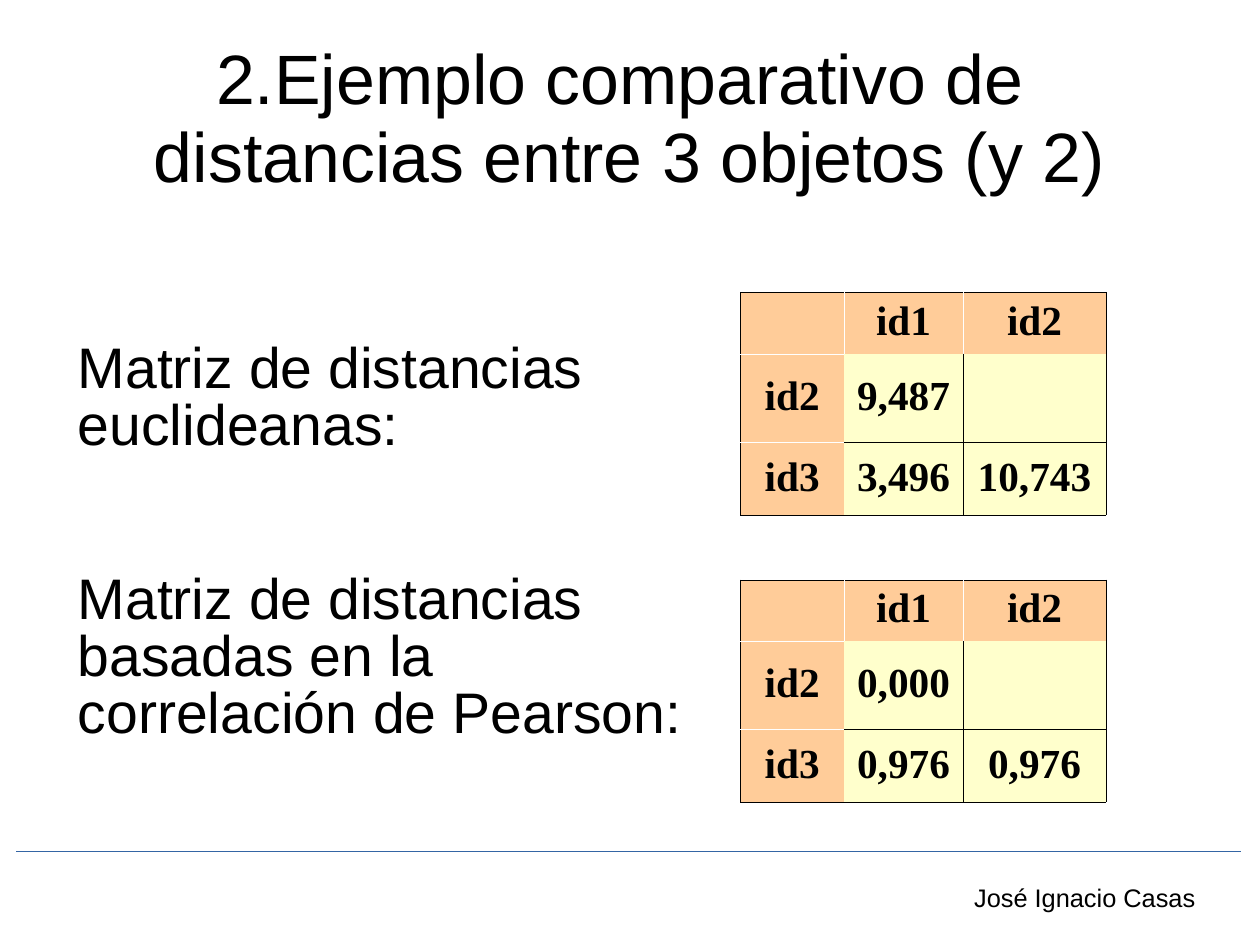
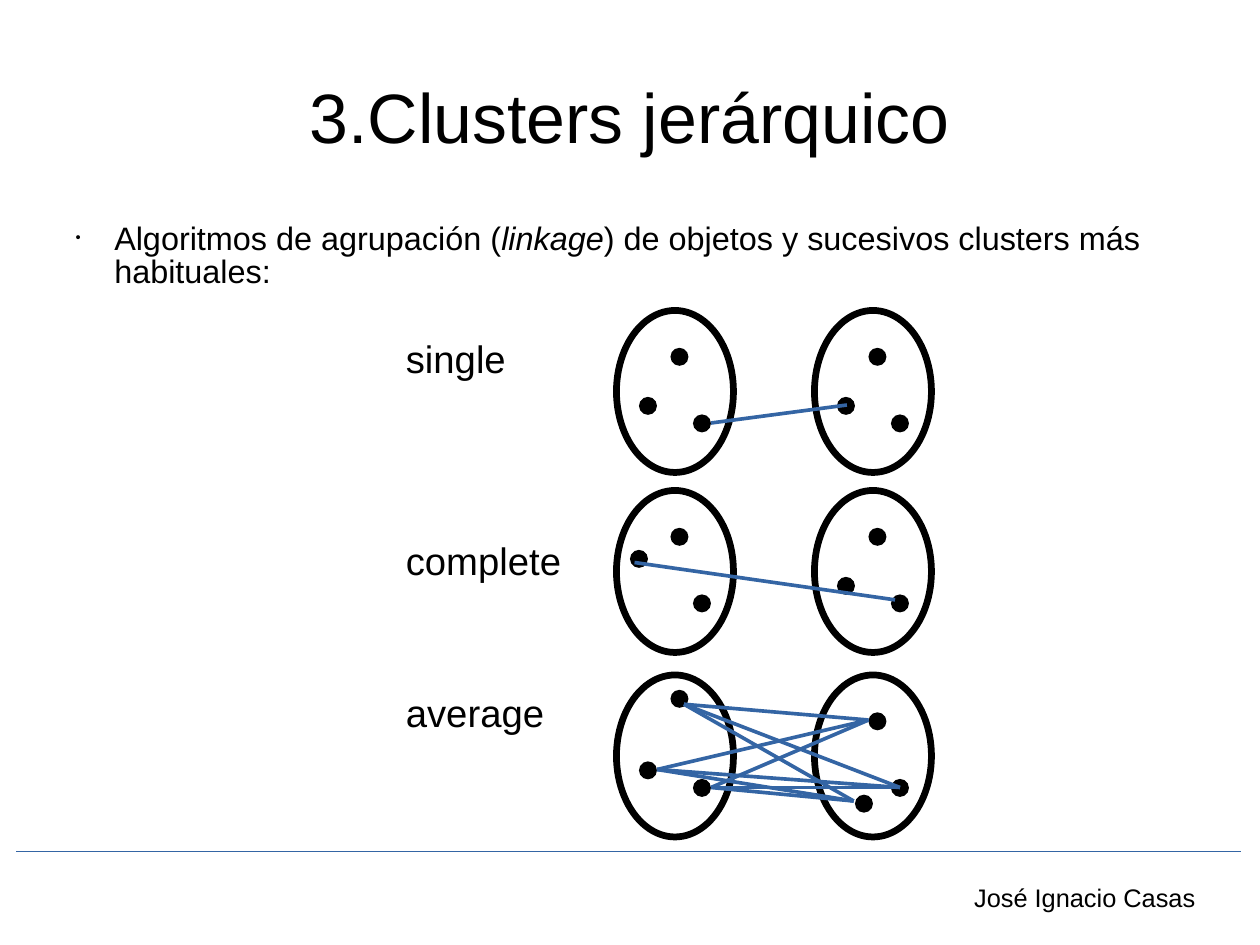
from itertools import product

from lxml.etree import SubElement
from pptx import Presentation
from pptx.dml.color import RGBColor
from pptx.enum.shapes import MSO_CONNECTOR, MSO_SHAPE
from pptx.enum.text import MSO_ANCHOR, MSO_AUTO_SIZE, PP_ALIGN
from pptx.oxml import parse_xml
from pptx.oxml.ns import nsdecls, qn
from pptx.util import Cm, Pt

COLORS = {
    "ink": "000000",
    "link": "3465A4",
    "header": "FFCC99",
    "body": "FFFFCC",
    "gap": "FFFFFF",
}
SANS, SERIF = "Arial", "Times New Roman"
AUTHOR = "José Ignacio Casas"

# Slide 1
DISTANCES_TITLE = ["2.Ejemplo comparativo de ", "distancias entre 3 objetos (y 2)"]
MATRIX_CAPTIONS = [
    "Matriz de distancias euclideanas:",
    "Matriz de distancias basadas en la correlación de Pearson:",
]
EUCLIDEAN = [("", "id1", "id2"), ("id2", "9,487", ""), ("id3", "3,496", "10,743")]
PEARSON = [("", "id1", "id2"), ("id2", "0,000", ""), ("id3", "0,976", "0,976")]
MATRIX_TOPS = [(EUCLIDEAN, 6.5), (PEARSON, 12.88)]
MATRIX_LEFT = 16.45
COLUMN_WIDTHS = [2.31, 2.64, 3.18]
ROW_HEIGHTS = [1.36, 1.96, 1.62]
SIDES = {"lnL": (0, -1), "lnR": (0, 1), "lnT": (-1, 0), "lnB": (1, 0)}

# Slide 2: dots are offsets inside a cluster, links join every start to every end
CLUSTERS_TITLE = ["3.Clusters jerárquico"]
INTRO = [
    ("Algoritmos de agrupación (", False),
    ("linkage", True),
    (") de objetos y sucesivos clusters más habituales:", False),
]
CLUSTER_LEFTS = [13.7, 18.1]
CLUSTER_SIZE = (2.6, 3.6)
DOT = 0.4
USUAL_DOTS = [(1.2, 0.83), (1.7, 2.31), (0.5, 1.92)]
LINKAGES = [
    {
        "name": "single", "label_top": 7.46, "top": 6.9,
        "dots": [USUAL_DOTS, USUAL_DOTS],
        "starts": [(15.8, 9.4)], "ends": [(18.82, 9)],
    },
    {
        "name": "complete", "label_top": 11.95, "top": 10.9,
        "dots": [[(1.2, 0.83), (1.7, 2.31), (0.3, 1.32)], USUAL_DOTS],
        "starts": [(14.1, 12.5)], "ends": [(19.89, 13.33)],
    },
    {
        "name": "average", "label_top": 15.32, "top": 15,
        "dots": [
            [(1.2, 0.33), (1.7, 2.31), (0.5, 1.92)],
            [(1.2, 0.83), (1.7, 2.31), (0.9, 2.66)],
        ],
        "starts": [(15.2, 15.65), (14.6, 17.1), (15.8, 17.5)],
        "ends": [(19.3, 16), (20, 17.5), (18.97, 17.8)],
    },
]


def rgb(name):
    return RGBColor.from_string(COLORS[name])


def add_run(paragraph, text, size, font=SANS, bold=False, italic=False):
    run = paragraph.add_run()
    run.text = text
    run.font.size = Pt(size)
    run.font.name = font
    run.font.bold = bold
    run.font.italic = italic
    run.font.color.rgb = rgb("ink")


def set_frame(frame, side_margin=0, top_margin=0):
    """Give a text frame wrapping, a fixed size and margins in cm."""
    frame.word_wrap = True
    frame.auto_size = MSO_AUTO_SIZE.NONE
    frame.margin_left = frame.margin_right = Cm(side_margin)
    frame.margin_top, frame.margin_bottom = Cm(top_margin), 0


def add_text_box(slide, left, top, width, height, **margins):
    frame = slide.shapes.add_textbox(Cm(left), Cm(top), Cm(width), Cm(height)).text_frame
    set_frame(frame, **margins)
    return frame


def add_line(slide, start, end, weight):
    line = slide.shapes.add_connector(
        MSO_CONNECTOR.STRAIGHT, *(Cm(value) for value in (*start, *end))
    )
    line.line.color.rgb = rgb("link")
    line.line.width = Pt(weight)
    SubElement(line._element.spPr, qn("a:effectLst"))


def add_slide(prs, title_lines):
    """Add a slide with the shared title style, rule and author footer."""
    slide = prs.slides.add_slide(prs.slide_layouts[5])
    add_line(slide, (0.36, 18.92), (27.58, 18.92), 0.75)
    footer = add_text_box(slide, 21.4, 19.53, 5.8, 0.9, side_margin=0.25, top_margin=0.13)
    footer.paragraphs[0].line_spacing = 0.93
    add_run(footer.paragraphs[0], AUTHOR, 16)

    title = slide.shapes.title
    title.left, title.top, title.width, title.height = Cm(1.4), Cm(0.84), Cm(25.2), Cm(3.5)
    set_frame(title.text_frame, top_margin=0.15)
    title.text_frame.vertical_anchor = MSO_ANCHOR.MIDDLE
    heading = title.text_frame.paragraphs[0]
    heading.alignment = PP_ALIGN.CENTER
    heading.line_spacing = 0.93
    for index, text in enumerate(title_lines):
        if index:
            heading.add_line_break()
        add_run(heading, text, 44)
    return slide


def is_header(row, column):
    return row == 0 or column == 0


def border_color(row, column, side):
    """Black outside and between values, white between headers, else no line."""
    next_row, next_column = row + SIDES[side][0], column + SIDES[side][1]
    if not (0 <= next_row < len(ROW_HEIGHTS) and 0 <= next_column < len(COLUMN_WIDTHS)):
        return "ink"
    if is_header(row, column) != is_header(next_row, next_column):
        return None
    return "gap" if is_header(row, column) else "ink"


def set_borders(cell, row, column):
    properties = cell._tc.get_or_add_tcPr()
    for position, side in enumerate(SIDES):
        color = border_color(row, column, side)
        paint = "<a:noFill/>"
        if color:
            paint = f'<a:solidFill><a:srgbClr val="{COLORS[color]}"/></a:solidFill>'
        properties.insert(
            position, parse_xml(f'<a:{side} {nsdecls("a")} w="720">{paint}</a:{side}>')
        )


def add_matrix(slide, values, top):
    table = slide.shapes.add_table(
        len(ROW_HEIGHTS), len(COLUMN_WIDTHS), Cm(MATRIX_LEFT), Cm(top),
        Cm(sum(COLUMN_WIDTHS)), Cm(sum(ROW_HEIGHTS)),
    ).table
    table.first_row = table.horz_banding = False
    for column, width in zip(table.columns, COLUMN_WIDTHS):
        column.width = Cm(width)
    for row, height in zip(table.rows, ROW_HEIGHTS):
        row.height = Cm(height)
    for r, c in product(range(len(ROW_HEIGHTS)), range(len(COLUMN_WIDTHS))):
        cell = table.cell(r, c)
        cell.fill.solid()
        cell.fill.fore_color.rgb = rgb("header" if is_header(r, c) else "body")
        set_borders(cell, r, c)
        cell.vertical_anchor = MSO_ANCHOR.MIDDLE
        if values[r][c]:
            paragraph = cell.text_frame.paragraphs[0]
            paragraph.alignment = PP_ALIGN.CENTER
            paragraph.line_spacing = 0.93
            add_run(paragraph, values[r][c], 26, SERIF, bold=True)


def add_distances_slide(prs):
    slide = add_slide(prs, DISTANCES_TITLE)
    captions = add_text_box(slide, 1.73, 7.52, 14.05, 9.73, top_margin=0.1)
    for index, caption in enumerate(MATRIX_CAPTIONS):
        paragraph = captions.add_paragraph() if index else captions.paragraphs[0]
        paragraph.line_spacing = 0.83
        if index:
            paragraph.space_before = Pt(74)
        add_run(paragraph, caption, 36)
    for values, top in MATRIX_TOPS:
        add_matrix(slide, values, top)


def add_oval(slide, left, top, width, height):
    oval = slide.shapes.add_shape(
        MSO_SHAPE.OVAL, Cm(left), Cm(top), Cm(width), Cm(height)
    )
    oval.shadow.inherit = False
    return oval


def add_cluster(slide, left, top, dots):
    outline = add_oval(slide, left, top, *CLUSTER_SIZE)
    outline.fill.background()
    outline.line.color.rgb = rgb("ink")
    outline.line.width = Pt(4.25)
    for x, y in dots:
        dot = add_oval(slide, left + x, top + y, DOT, DOT)
        dot.fill.solid()
        dot.fill.fore_color.rgb = rgb("ink")
        dot.line.fill.background()


def add_clusters_slide(prs):
    slide = add_slide(prs, CLUSTERS_TITLE)
    intro = add_text_box(slide, 1.4, 4.9, 25.2, 1.8, top_margin=0.1).paragraphs[0]
    intro.line_spacing = 0.83
    properties = intro._p.get_or_add_pPr()
    properties.set("marL", str(Cm(1.14)))
    properties.set("indent", str(Cm(-0.86)))
    SubElement(properties, qn("a:buSzPct")).set("val", "45000")
    SubElement(properties, qn("a:buFont")).set("typeface", SANS)
    SubElement(properties, qn("a:buChar")).set("char", "•")
    for text, italic in INTRO:
        add_run(intro, text, 20.4, italic=italic)

    for linkage in LINKAGES:
        label = add_text_box(slide, 9.02, linkage["label_top"], 4.4, 1.1)
        add_run(label.paragraphs[0], linkage["name"], 24.1)
        for left, dots in zip(CLUSTER_LEFTS, linkage["dots"]):
            add_cluster(slide, left, linkage["top"], dots)
        for start, end in product(linkage["starts"], linkage["ends"]):
            add_line(slide, start, end, 2.3)


def main():
    prs = Presentation()
    prs.slide_width, prs.slide_height = Cm(28), Cm(21)
    add_distances_slide(prs)
    add_clusters_slide(prs)
    prs.save("out.pptx")


if __name__ == "__main__":
    main()
